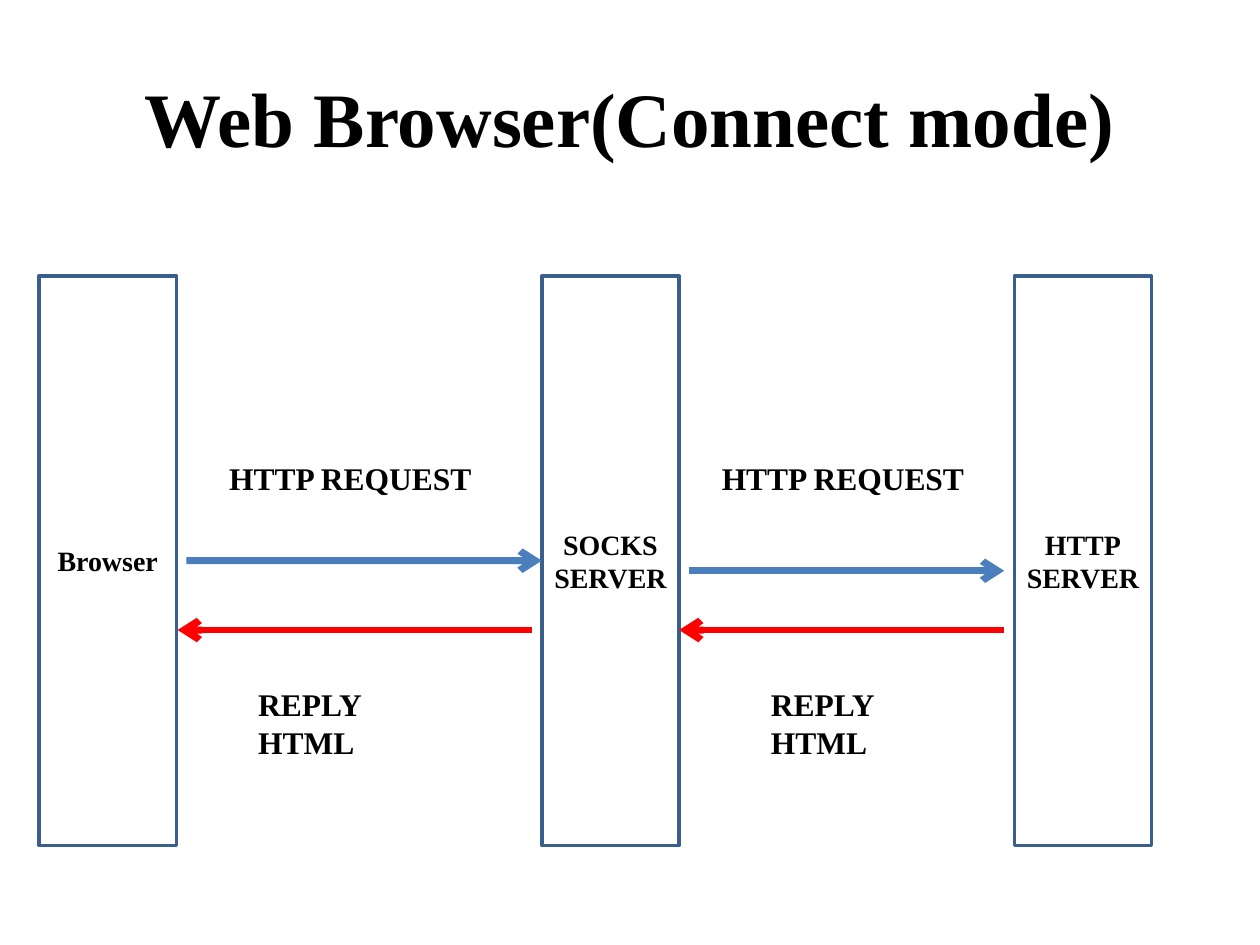
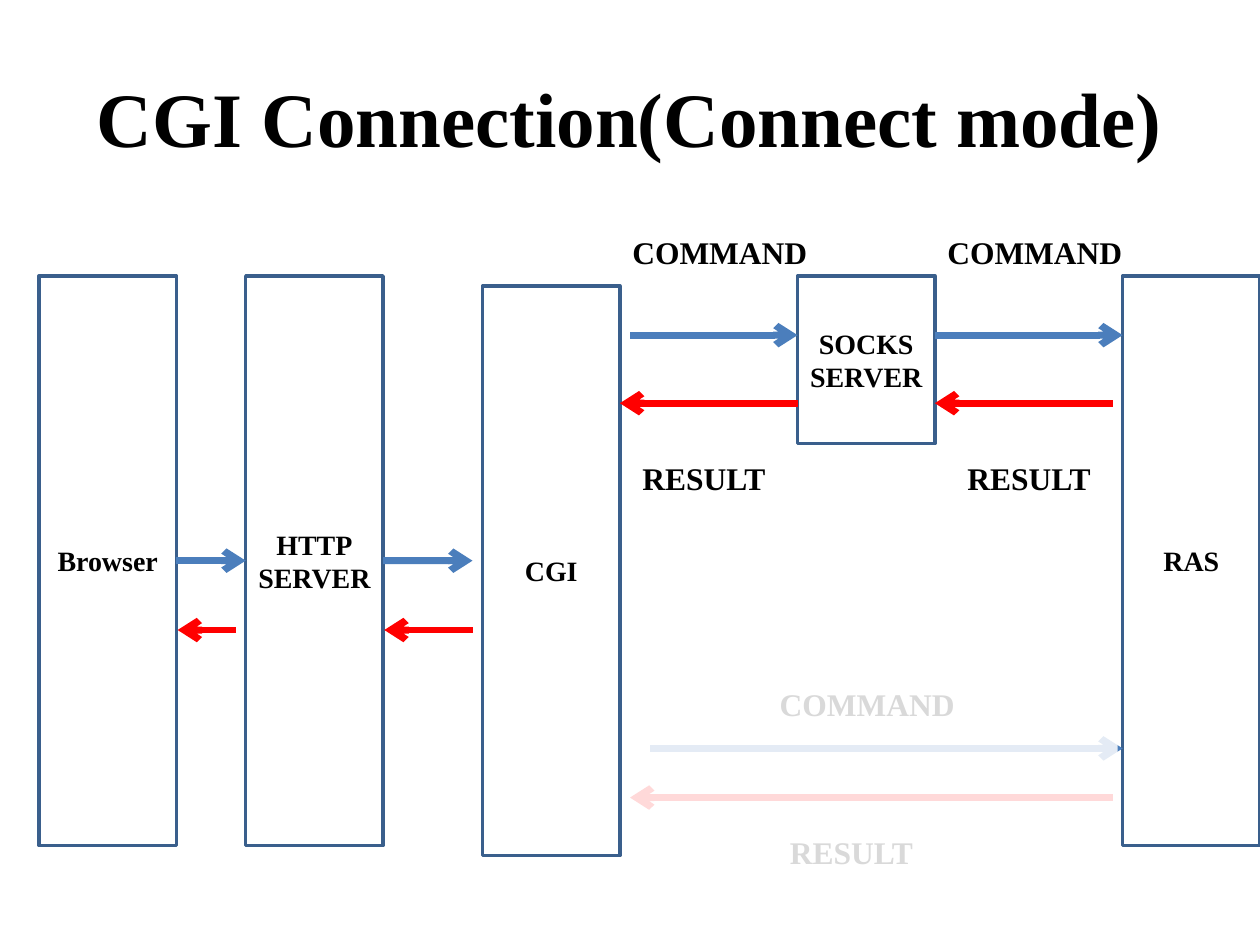
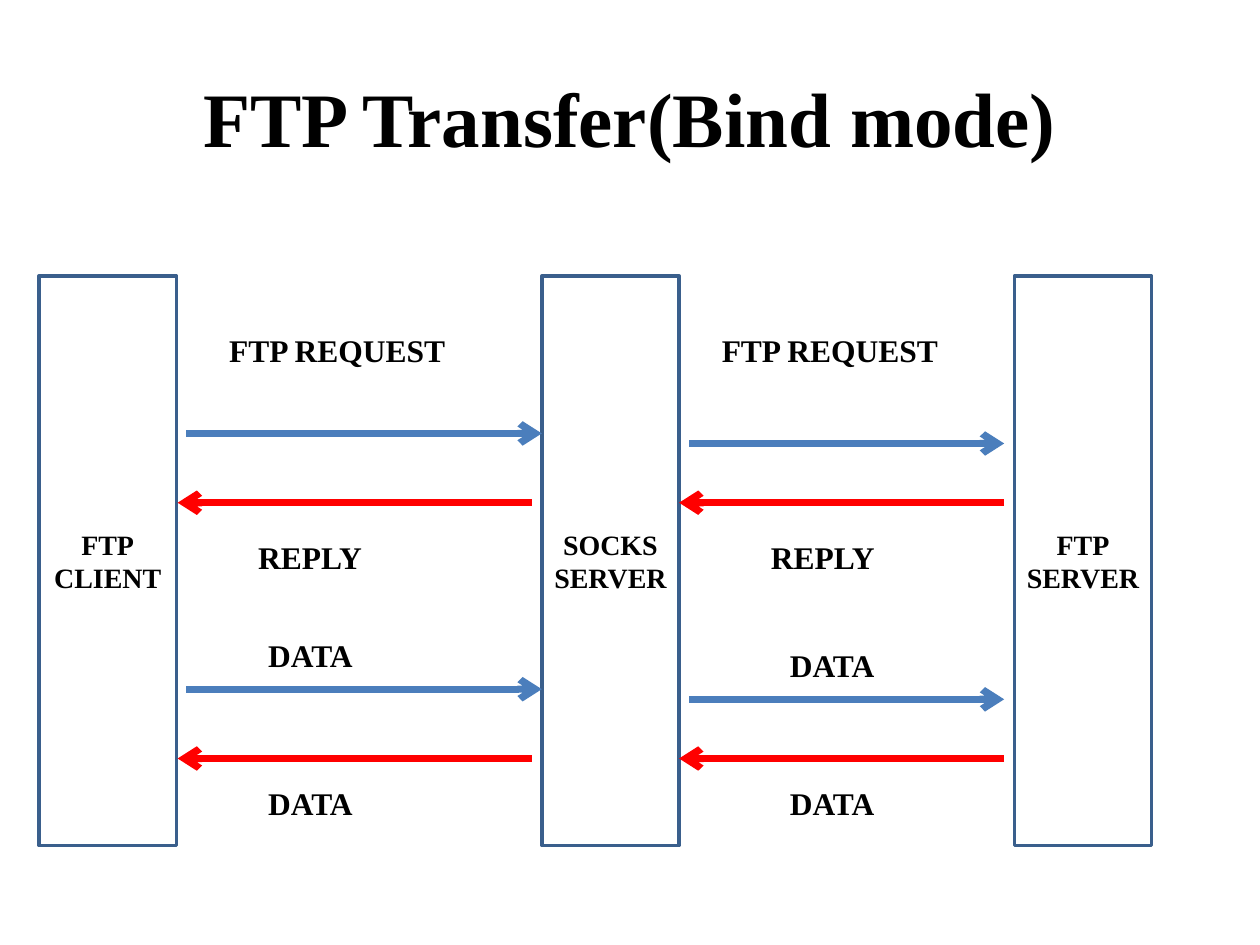
from lxml.etree import SubElement
from pptx import Presentation
from pptx.dml.color import RGBColor
from pptx.enum.shapes import MSO_CONNECTOR as Connector, MSO_SHAPE as Preset
from pptx.enum.text import MSO_ANCHOR as Anchor, MSO_AUTO_SIZE as AutoSize, PP_ALIGN as Align
from pptx.oxml.ns import qn
from pptx.util import Inches, Pt

COLORS = {
    "text": "000000",
    "outline": "3A5F8C",
    "request": "4B7EBC",
    "reply": "FF0000",
    "veil": "FFFFFF",
}
FONT = {"name": "Times New Roman", "bold": True}
TITLE_AREA = {"left": 0.5, "top": 0.3, "width": 9, "height": 1.25}
NODE_FRAME = {
    "vertical_anchor": Anchor.MIDDLE,
    "word_wrap": True,
    "margin_left": Inches(0.05),
    "margin_right": Inches(0.05),
}
LABEL_FRAME = {"word_wrap": True, "auto_size": AutoSize.SHAPE_TO_FIT_TEXT}
NODE_TOP, NODE_WIDTH, NODE_HEIGHT = 2.19, 1.09, 4.52
LABEL_WIDTH, LABEL_HEIGHT = 3.59, 0.4
TOP, LEFT, BOTTOM, RIGHT = range(4)


def color(name):
    return RGBColor.from_string(COLORS[name])


def apply(target, values):
    for name, value in values.items():
        setattr(target, name, value)


def write(frame, wording, size, align):
    frame.text = wording
    for paragraph in frame.paragraphs:
        paragraph.alignment = align
        apply(paragraph.font, {**FONT, "size": Pt(size)})
        paragraph.font.color.rgb = color("text")


def add_titled_slide(deck, wording):
    slide = deck.slides.add_slide(deck.slide_layouts[5])
    title = slide.shapes.title
    apply(title, {side: Inches(length) for side, length in TITLE_AREA.items()})
    title.text_frame.vertical_anchor = Anchor.MIDDLE
    write(title.text_frame, wording, 44, Align.CENTER)
    return slide


def add_rectangle(slide, *bounds):
    rectangle = slide.shapes.add_shape(Preset.RECTANGLE, *map(Inches, bounds))
    rectangle.shadow.inherit = False
    return rectangle


def add_node(slide, wording, left, top=NODE_TOP, height=NODE_HEIGHT):
    node = add_rectangle(slide, left, top, NODE_WIDTH, height)
    node.fill.background()
    node.line.color.rgb = color("outline")
    node.line.width = Pt(2)
    apply(node.text_frame, NODE_FRAME)
    write(node.text_frame, wording, 16, Align.CENTER)
    return node


def add_arrow(slide, kind, start, end, y, source=None, target=None):
    arrow = slide.shapes.add_connector(
        Connector.STRAIGHT, Inches(start), Inches(y), Inches(end), Inches(y)
    )
    arrow.line.color.rgb = color(kind)
    arrow.line.width = Pt(4)
    properties = arrow._element.spPr
    SubElement(properties.find(qn("a:ln")), qn("a:tailEnd"), type="arrow")
    SubElement(properties, qn("a:effectLst"))
    if source:
        arrow.begin_connect(source, RIGHT)
    if target:
        arrow.end_connect(target, LEFT)


def add_label(slide, wording, left, top, width=LABEL_WIDTH):
    height = LABEL_HEIGHT + 0.31 * wording.count("\n")
    label = slide.shapes.add_textbox(*map(Inches, (left, top, width, height)))
    apply(label.text_frame, LABEL_FRAME)
    write(label.text_frame, wording, 18, Align.LEFT)


def add_veil(slide, *bounds):
    veil = add_rectangle(slide, *bounds)
    veil.fill.solid()
    veil.fill.fore_color.rgb = color("veil")
    veil.line.fill.background()
    tint = veil._element.spPr.find(qn("a:solidFill")).find(qn("a:srgbClr"))
    SubElement(tint, qn("a:alpha"), val="85000")


def add_relay_nodes(slide, client, server):
    add_node(slide, client, 0.31)
    add_node(slide, server, 8.05)
    return add_node(slide, "SOCKS\nSERVER", 4.3)


def add_relay_exchange(slide, y, socks=None):
    add_arrow(slide, "request", 1.48, 4.3, y, target=socks)
    add_arrow(slide, "request", 5.47, 7.97, y + 0.08)
    add_arrow(slide, "reply", 4.22, 1.41, y + 0.55)
    add_arrow(slide, "reply", 7.97, 5.39, y + 0.55)


def add_label_pair(slide, wording, lefts, top, step=0):
    for hop, left in enumerate(lefts):
        add_label(slide, wording, left, top + hop * step)


def build_web_browser(deck):
    slide = add_titled_slide(deck, "Web Browser(Connect mode)")
    socks = add_relay_nodes(slide, "Browser", "HTTP\nSERVER")
    add_relay_exchange(slide, 4.45, socks)
    add_label_pair(slide, "HTTP REQUEST", (1.72, 5.63), 3.59)
    add_label_pair(slide, "REPLY\nHTML", (1.95, 6.02), 5.39)


def build_cgi_connection(deck):
    slide = add_titled_slide(deck, "CGI Connection(Connect mode)")
    browser = add_node(slide, "Browser", 0.31)
    http = add_node(slide, "HTTP\nSERVER", 1.95)
    add_node(slide, "CGI", 3.83, top=2.27)
    add_node(slide, "RAS", 8.91)
    add_node(slide, "SOCKS\nSERVER", 6.33, height=1.33)

    add_arrow(slide, "request", 1.41, 1.95, 4.45, browser, http)
    add_arrow(slide, "request", 3.05, 3.75, 4.45, http)
    for kind, start, end, y in (
        ("request", 5.16, 8.91, 5.94),
        ("request", 7.42, 8.91, 2.66),
        ("request", 5, 6.33, 2.66),
        ("reply", 1.87, 1.41, 5),
        ("reply", 3.75, 3.05, 5),
        ("reply", 8.83, 5, 6.33),
        ("reply", 8.83, 7.42, 3.2),
        ("reply", 6.33, 4.92, 3.2),
    ):
        add_arrow(slide, kind, start, end, y)

    add_label_pair(slide, "COMMAND", (4.92, 7.42), 1.8)
    add_label_pair(slide, "RESULT", (5, 7.58), 3.59)
    add_label(slide, "COMMAND", 6.09, 5.39, 1.64)
    add_label(slide, "RESULT", 6.17, 6.56)
    add_veil(slide, 4.96, 4.46, 3.91, 2.67)


def build_ftp_transfer(deck):
    slide = add_titled_slide(deck, "FTP Transfer(Bind mode)")
    add_relay_nodes(slide, "FTP\nCLIENT", "FTP\nSERVER")
    for y in (3.44, 5.47):
        add_relay_exchange(slide, y)
    add_label_pair(slide, "FTP REQUEST", (1.72, 5.63), 2.58)
    add_label_pair(slide, "REPLY", (1.95, 6.02), 4.22)
    add_label_pair(slide, "DATA", (2.03, 6.17), 5, step=0.08)
    add_label_pair(slide, "DATA", (2.03, 6.17), 6.17)


def main():
    deck = Presentation()
    deck.slide_width, deck.slide_height = Inches(10), Inches(7.5)
    build_web_browser(deck)
    build_cgi_connection(deck)
    build_ftp_transfer(deck)
    deck.save("out.pptx")


if __name__ == "__main__":
    main()
